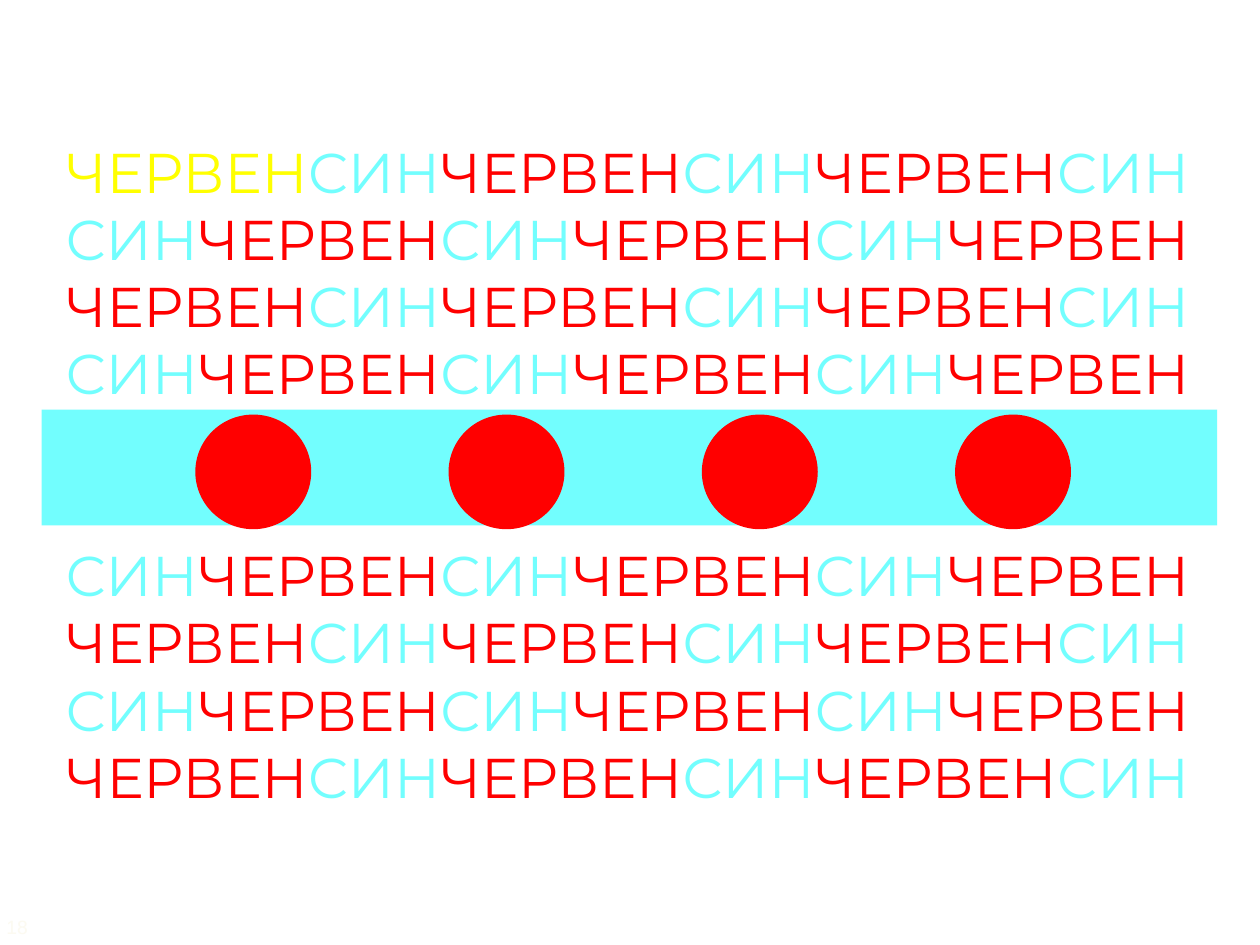
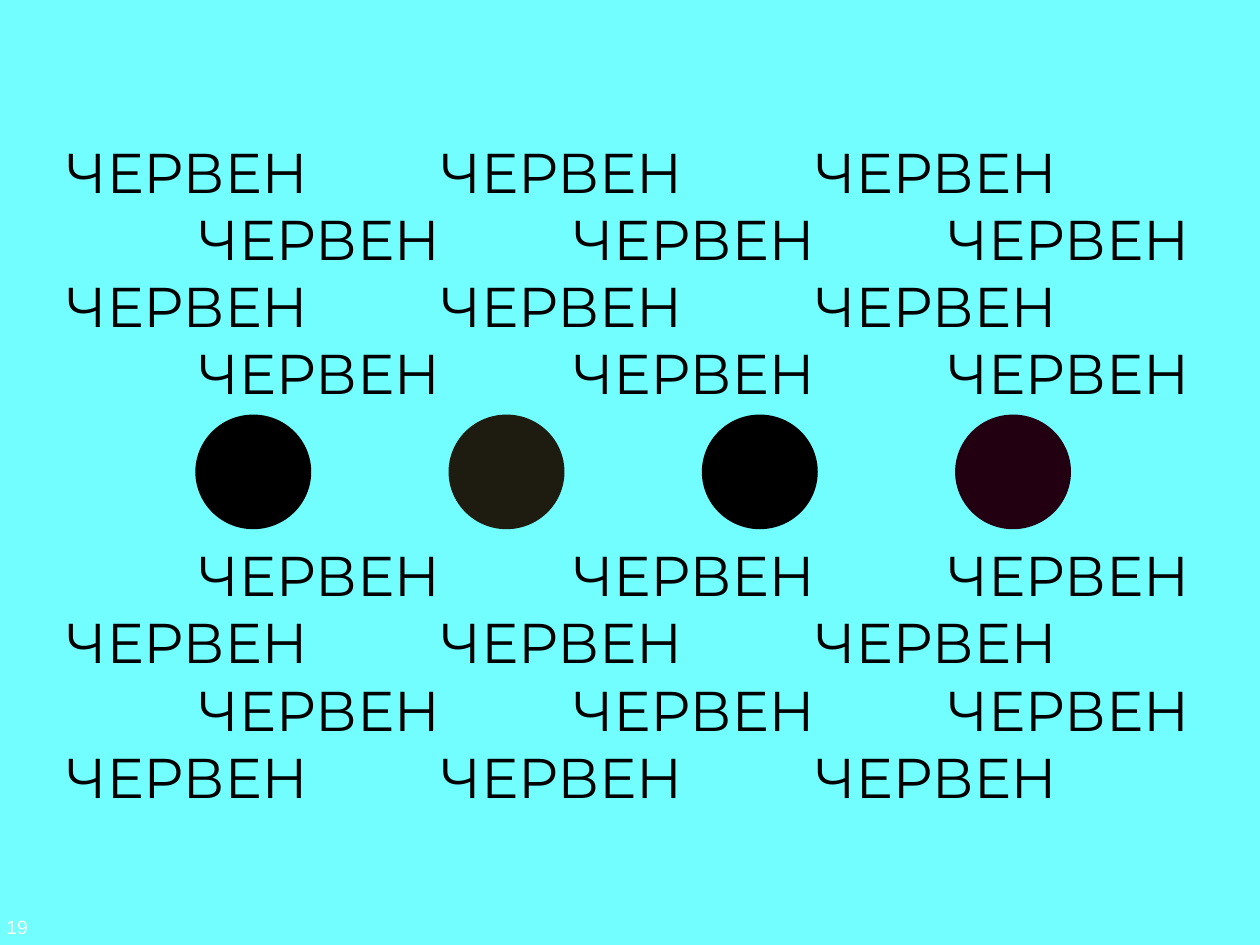
from dataclasses import dataclass

from pptx import Presentation
from pptx.dml.color import RGBColor as RGB
from pptx.enum.shapes import MSO_SHAPE as SHAPE
from pptx.enum.text import MSO_ANCHOR as ANCHOR, MSO_AUTO_SIZE as AUTO, PP_ALIGN as ALIGN
from pptx.util import Inches, Pt


@dataclass(frozen=True)
class Theme:
    white: str = "FFFFFF"
    cyan: str = "72FEFE"
    red: str = "FF0000"
    yellow: str = "FFFF00"
    black: str = "000000"
    olive: str = "1E1C11"
    plum: str = "220011"
    number: str = "FCFAF1"
    word_font: str = "Montserrat"
    number_font: str = "Arial"
    word_size: int = 32
    number_size: int = 11
    gap: float = 76.9  # two lines of words, in points


T = Theme()
RED_WORD, BLUE_WORD = "ЧЕРВЕН", "СИН"
RED_FIRST = (RED_WORD, BLUE_WORD) * 3
BLUE_FIRST = (BLUE_WORD, RED_WORD) * 3
ROWS = [RED_FIRST, BLUE_FIRST] * 2 + [BLUE_FIRST, RED_FIRST] * 2
GAP_ROW = 4

SLIDES = [
    dict(number="18", bg=T.white, first=T.yellow, word=T.red, band=T.cyan,
         circles=[T.red] * 4),
    dict(number="19", bg=T.cyan, first=T.black, word=T.black, band=None,
         circles=[T.black, T.olive, T.black, T.plum]),
]


def add_run(p, text, font, size, color):
    r = p.add_run()
    r.text = text
    for name, value in dict(name=font, size=Pt(size)).items():
        setattr(r.font, name, value)
    r.font.color.rgb = RGB.from_string(color)


def add_filled(s, kind, left, top, width, height, color):
    sp = s.shapes.add_shape(kind, Inches(left), Inches(top), Inches(width), Inches(height))
    sp.shadow.inherit = False
    sp.fill.solid()
    sp.fill.fore_color.rgb = RGB.from_string(color)
    sp.line.fill.background()


prs = Presentation()
prs.slide_width, prs.slide_height = Inches(10), Inches(7.5)

for look in SLIDES:
    s = prs.slides.add_slide(prs.slide_layouts[6])
    s.background.fill.solid()
    s.background.fill.fore_color.rgb = RGB.from_string(look["bg"])

    # Slide number
    tf = s.shapes.add_textbox(Inches(0), Inches(7.13), Inches(0.58), Inches(0.4)).text_frame
    frame = dict(word_wrap=True, vertical_anchor=ANCHOR.MIDDLE, margin_left=Inches(0.05),
                 margin_top=Inches(0.15), margin_right=0, margin_bottom=Inches(0.1))
    for name, value in frame.items():
        setattr(tf, name, value)
    add_run(tf.paragraphs[0], look["number"], T.number_font, T.number_size, T.number)

    # Rows of colour words
    tf = s.shapes.add_textbox(Inches(0.15), Inches(1.04), Inches(9.66), Inches(5.49)).text_frame
    for name, value in dict(word_wrap=False, auto_size=AUTO.SHAPE_TO_FIT_TEXT).items():
        setattr(tf, name, value)
    for i, row in enumerate(ROWS):
        p = tf.add_paragraph() if i else tf.paragraphs[0]
        p.alignment = ALIGN.CENTER
        if i == GAP_ROW:
            p.space_before = Pt(T.gap)
        for j, word in enumerate(row):
            color = T.cyan if word == BLUE_WORD else look["word"]
            if i == j == 0:
                color = look["first"]
            add_run(p, word, T.word_font, T.word_size, color)

    # Band and circles between the two blocks of rows
    if look["band"]:
        add_filled(s, SHAPE.RECTANGLE, 0.33, 3.25, 9.33, 0.92, look["band"])
    for i, color in enumerate(look["circles"]):
        add_filled(s, SHAPE.OVAL, 1.55 + 2.01 * i, 3.29, 0.92, 0.91, color)

prs.save("out.pptx")
